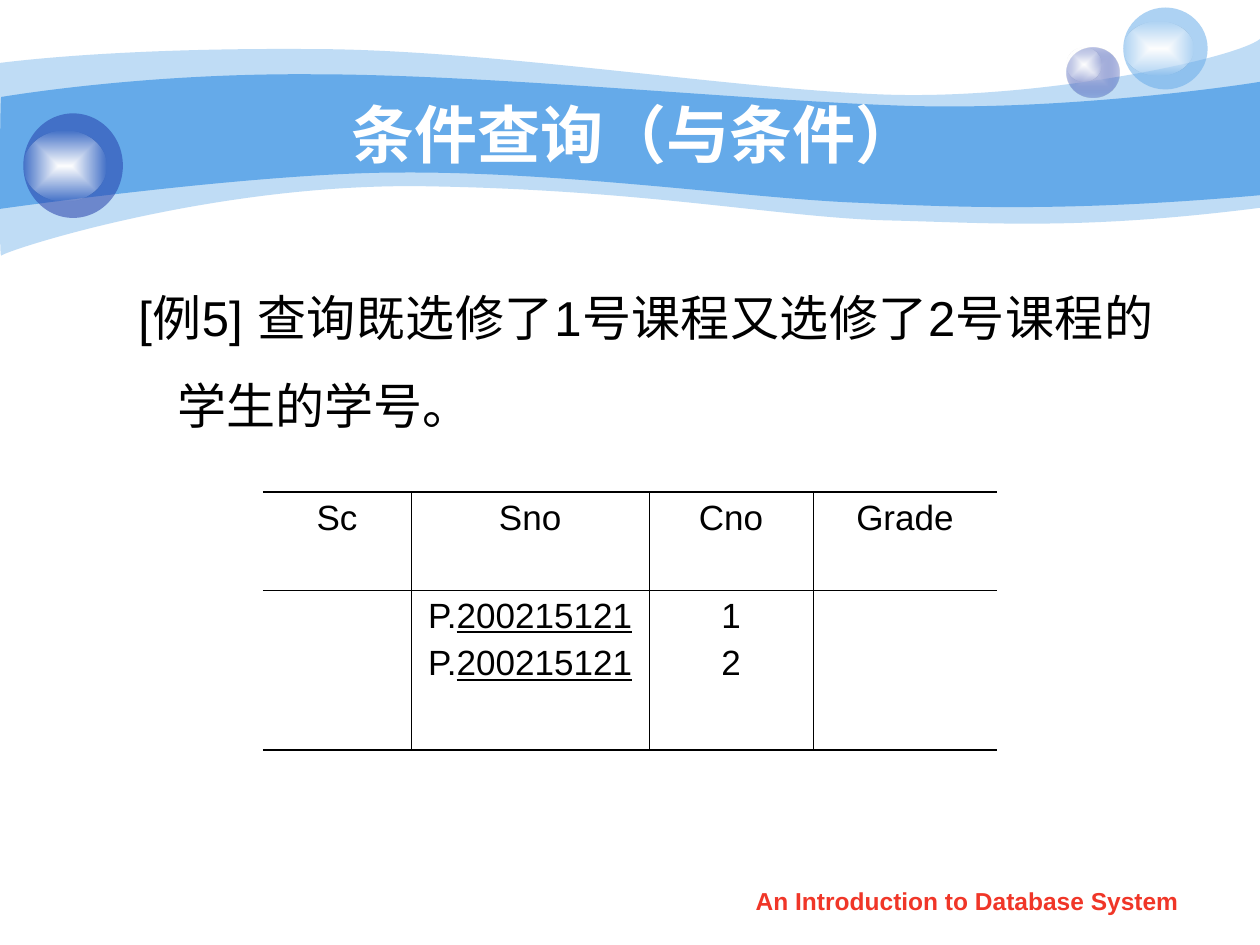
from lxml import etree
from pptx import Presentation
from pptx.dml.color import RGBColor
from pptx.enum.shapes import MSO_SHAPE
from pptx.enum.text import MSO_ANCHOR, PP_ALIGN
from pptx.oxml.ns import qn
from pptx.util import Inches, Pt

OVAL = MSO_SHAPE.OVAL
CENTER, JUSTIFY = PP_ALIGN.CENTER, PP_ALIGN.JUSTIFY
TOP, MIDDLE = MSO_ANCHOR.TOP, MSO_ANCHOR.MIDDLE
FONT = "Arial"
COLORS = {"sky": "65AAE9", "navy": "233DA9", "lilac": "C6CCE8", "white": "FFFFFF",
          "clear": "FEFEFE", "black": "000000", "red": "F03628"}
COLUMNS, ROWS = 100, 75  # slide grid
THIN, THICK = 0.45, 1.08  # table rules in points
STUDENT = "200215121"


def child(parent, tag, **attributes):
    return etree.SubElement(parent, qn(tag), {k: str(v) for k, v in attributes.items()})


def add_color(parent, name, alpha=100):
    color = child(parent, "a:srgbClr", val=COLORS[name])
    if alpha < 100:
        child(color, "a:alpha", val=alpha * 1000)


def write(para, text, size=20, color="black", bold=False, underline=False):
    span = para.add_run()
    span.text = text
    font = span.font
    font.name, font.size = FONT, Pt(size)
    font.bold, font.underline = bold, underline
    font.color.rgb = RGBColor.from_string(COLORS[color])


class SlideBuilder:
    def __init__(self):
        self.deck = Presentation()
        self.deck.slide_width, self.deck.slide_height = Inches(10), Inches(7.5)
        self.page = self.deck.slides.add_slide(self.deck.slide_layouts[6])

    def x(self, columns):
        return round(self.deck.slide_width * columns / COLUMNS)

    def y(self, rows):
        return round(self.deck.slide_height * rows / ROWS)

    def place(self, left, top, width, height):
        return self.x(left), self.y(top), self.x(width), self.y(height)

    def paint(self, shape, color, alpha=100):
        shape.shadow.inherit = False
        shape.line.fill.background()
        shape.fill.solid()
        shape.fill.fore_color.rgb = RGBColor.from_string(COLORS[color])
        if alpha < 100:
            solid = shape.fill._xPr.find(qn("a:solidFill"))
            child(solid[0], "a:alpha", val=alpha * 1000)

    def wave(self, start, steps, alpha=100):
        """A step is a line (one point) or a cubic curve (two controls and an end)."""
        outline = self.page.shapes.build_freeform(self.x(start[0]), self.y(start[1]))
        for step in steps:
            points = zip(step[::2], step[1::2])
            outline.add_line_segments([(self.x(x), self.y(y)) for x, y in points],
                                      close=step is steps[-1])
        shape = outline.convert_to_shape()
        segments = iter(list(shape._element.iter(qn("a:lnTo"))))
        for step in steps:
            group = [next(segments) for _ in step[::2]]
            if len(group) == 3:
                curve = etree.Element(qn("a:cubicBezTo"))
                group[0].addprevious(curve)
                for segment in group:
                    curve.append(segment[0])
                    segment.getparent().remove(segment)
        self.paint(shape, "sky", alpha)

    def ball(self, place, color, alpha=100):
        shape = self.page.shapes.add_shape(OVAL, *self.place(*place))
        self.paint(shape, color, alpha)
        return shape

    def glow_ball(self, place, inner, outer, outer_alpha):
        shape = self.ball(place, inner)
        solid = shape.fill._xPr.find(qn("a:solidFill"))
        gradient = etree.Element(qn("a:gradFill"), rotWithShape="1")
        stops = child(gradient, "a:gsLst")
        add_color(child(stops, "a:gs", pos=0), inner)
        add_color(child(stops, "a:gs", pos=100000), outer, outer_alpha)
        center = child(gradient, "a:path", path="rect")
        child(center, "a:fillToRect", l=50000, t=50000, r=50000, b=50000)
        solid.getparent().replace(solid, gradient)

    def text(self, place, text, align=CENTER, anchor=TOP, **style):
        box = self.page.shapes.add_textbox(*self.place(*place))
        frame = box.text_frame
        frame.word_wrap, frame.vertical_anchor = True, anchor
        para = frame.paragraphs[0]
        para.alignment = align
        write(para, text, **style)
        return para

    def rule(self, cell, side, width):
        line = child(cell._tc.get_or_add_tcPr(), f"a:ln{side}", w=Pt(width or 0))
        if width:
            add_color(child(line, "a:solidFill"), "black")
        else:
            child(line, "a:noFill")

    def table(self, place, widths, heights, content):
        last_row, last_column = len(heights) - 1, len(widths) - 1
        table = self.page.shapes.add_table(len(heights), len(widths),
                                           *self.place(*place)).table
        table.first_row = table.horz_banding = False
        for column, width in zip(table.columns, widths):
            column.width = self.x(width)
        for r, height in enumerate(heights):
            table.rows[r].height = self.y(height)
            for c, lines in enumerate(content[r]):
                cell = table.cell(r, c)
                self.rule(cell, "L", THIN if c else None)
                self.rule(cell, "R", THIN if c < last_column else None)
                self.rule(cell, "T", THIN if r else THICK)
                self.rule(cell, "B", THIN if r < last_row else THICK)
                cell.fill.background()
                for number, parts in enumerate(lines):
                    frame = cell.text_frame
                    para = frame.add_paragraph() if number else frame.paragraphs[0]
                    para.alignment, para.space_before = CENTER, Pt(5)
                    for part in parts:
                        write(para, part, underline=part == STUDENT)


def main():
    slide = SlideBuilder()

    # Banner waves
    slide.wave((0, 5), [
        (2.4, 4.7, 10.7, 3.8, 24.7, 3.9), (38.6, 3.9, 57.5, 7, 69.9, 7.5),
        (82.2, 8, 98, 4.7, 100, 3.1), (100, 16.5),
        (85.8, 18.3, 78.7, 17.7, 70.5, 17.5), (62.2, 17.3, 51.5, 15.1, 34.3, 14.8),
        (17.2, 14.4, 0.4, 19.9, 0.1, 20.3), (-0.1, 20.8, 0, 7.5, 0, 5)], alpha=41)
    slide.wave((0.1, 7.7), [
        (0.2, 7.7, 11, 5.8, 24.8, 5.9), (38.6, 5.9, 59.5, 8, 71.8, 8.4),
        (84.1, 8.8, 97.6, 6.9, 100, 6.5), (100, 15.5),
        (85.3, 16.8, 76.5, 16.5, 68.2, 16.1), (59.9, 15.8, 44.7, 13.6, 31.7, 13.7),
        (20.3, 13.7, -0.2, 16.6, -0.1, 16.6), (0, 16.6, 0, 7.7, 0.1, 7.7)])

    # Balls, each with a highlight
    slide.glow_ball((84.65, 3.75, 4.2, 4), "lilac", "navy", 31)
    slide.glow_ball((84.65, 3.75, 2.8, 2.7), "white", "clear", 0)
    slide.ball((89.15, 0.6, 6.7, 6.5), "sky", 53)
    slide.glow_ball((89.15, 1.7, 5.6, 4.3), "white", "clear", 0)
    slide.ball((1.85, 9, 7.9, 8.3), "navy", 53)
    slide.glow_ball((1.85, 10.35, 6.6, 5.6), "white", "clear", 0)

    # Title and question
    slide.text((10, 7.5, 80.8, 6.2), "条件查询（与条件）", anchor=MIDDLE,
               size=36, color="white", bold=True)
    question = slide.text((5, 20, 87.5, 18.3),
                          "[例5] 查询既选修了1号课程又选修了2号课程的学生的学号。 ",
                          align=JUSTIFY, size=28)
    question.line_spacing, question.space_before = 1.5, Pt(7)
    indent = question._p.get_or_add_pPr()
    indent.set("marL", str(Inches(0.81)))
    indent.set("indent", str(Inches(-0.31)))

    # Query table: each cell is a list of lines, each line a list of parts
    header = [[[name]] for name in ("Sc", "Sno", "Cno", "Grade")]
    query = [[], [["P.", STUDENT]] * 2, [["1"], ["2"]], []]
    slide.table((20.87, 39.06, 58.25, 20.46), (11.77, 18.88, 13.02, 14.58),
                (7.78, 12.68), (header, query))

    # Footer
    slide.text((57.07, 69.8, 39.4, 3.5), "An Introduction to Database System",
               size=14, color="red", bold=True)
    slide.deck.save("out.pptx")


if __name__ == "__main__":
    main()
